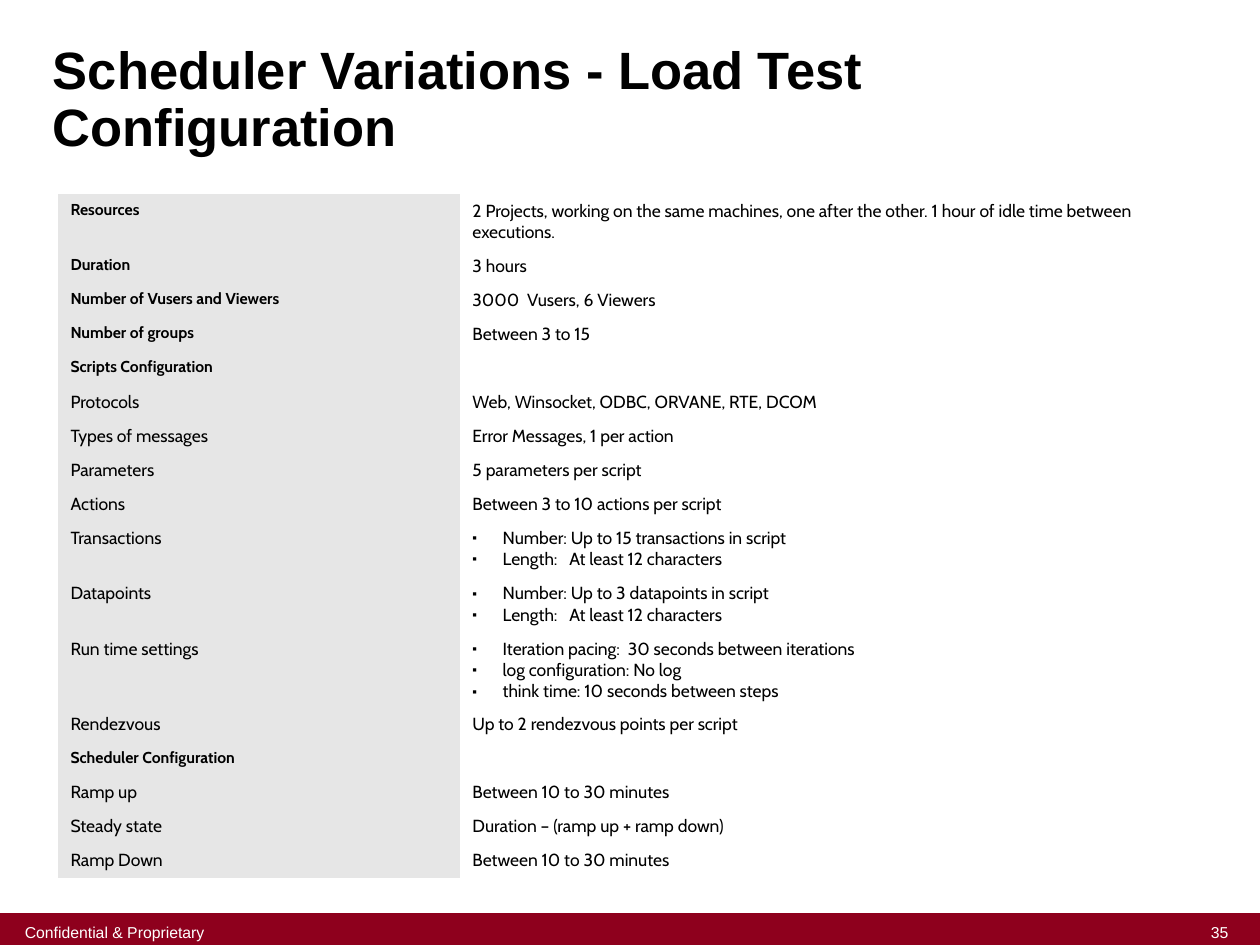
from lxml.etree import SubElement
from pptx import Presentation
from pptx.dml.color import RGBColor
from pptx.enum.shapes import MSO_SHAPE
from pptx.enum.text import MSO_ANCHOR, PP_ALIGN
from pptx.oxml.ns import qn
from pptx.util import Inches, Pt

# Content: label, then one value or a list of bullets; headings are bold
TITLE = "Scheduler Variations - Load Test Configuration"
FOOTER = "Confidential & Proprietary"
PAGE_NUMBER = "35"
HEADINGS = {
    "Resources", "Duration", "Number of Vusers and Viewers", "Number of groups",
    "Scripts Configuration", "Scheduler Configuration",
}
SETTINGS = [
    ("Resources", "2 Projects, working on the same machines, one after the other. "
                  "1 hour of idle time between executions."),
    ("Duration", "3 hours"),
    ("Number of Vusers and Viewers", "3000  Vusers, 6 Viewers"),
    ("Number of groups", "Between 3 to 15"),
    ("Scripts Configuration", ""),
    ("Protocols", "Web, Winsocket, ODBC, ORVANE, RTE, DCOM"),
    ("Types of messages", "Error Messages, 1 per action"),
    ("Parameters", "5 parameters per script"),
    ("Actions", "Between 3 to 10 actions per script"),
    ("Transactions", ["Number: Up to 15 transactions in script",
                      "Length:   At least 12 characters"]),
    ("Datapoints", ["Number: Up to 3 datapoints in script",
                    "Length:   At least 12 characters"]),
    ("Run time settings", ["Iteration pacing:  30 seconds between iterations",
                           "log configuration: No log",
                           "think time: 10 seconds between steps"]),
    ("Rendezvous", "Up to 2 rendezvous points per script"),
    ("Scheduler Configuration", ""),
    ("Ramp up", "Between 10 to 30 minutes"),
    ("Steady state", "Duration – (ramp up + ramp down)"),
    ("Ramp Down", "Between 10 to 30 minutes"),
]

THEME = {
    "black": RGBColor(0, 0, 0),
    "white": RGBColor(255, 255, 255),
    "label_fill": RGBColor(0xE6, 0xE6, 0xE6),
    "footer_fill": RGBColor(0x8E, 0x00, 0x1D),
    "heading_font": "Arial",
    "table_font": "Cabin",
    "title_size": 30,
    "heading_size": 9,
    "body_size": 10,
    "footer_size": 9,
}
COLUMN_WIDTHS = (3.19, 5.78)
ROW_HEIGHTS = {1: 0.27, 2: 0.44, 3: 0.6}  # by lines of text
LINE_LENGTH = 90  # characters that fit on one line of the value column
NO_STYLE_NO_GRID = "{2D5ABB26-0587-4C30-8999-92F81FD0307C}"


def add_text(paragraph, text, size, font, color, bold=False):
    run = paragraph.add_run()
    run.text = text
    run.font.size = Pt(size)
    run.font.name = font
    run.font.bold = bold
    run.font.color.rgb = color


def add_bullet(paragraph):
    properties = paragraph._p.get_or_add_pPr()
    properties.set("marL", str(Inches(0.24)))
    properties.set("indent", str(-Inches(0.24)))
    SubElement(properties, qn("a:buSzPct"), val="75000")
    SubElement(properties, qn("a:buFont"), typeface=THEME["heading_font"])
    SubElement(properties, qn("a:buChar"), char="▪")


def fill_cell(cell, content, bold=False):
    size = THEME["heading_size" if bold else "body_size"]
    bulleted = isinstance(content, list)
    for index, text in enumerate(content if bulleted else [content]):
        frame = cell.text_frame
        paragraph = frame.add_paragraph() if index else frame.paragraphs[0]
        if bulleted:
            add_bullet(paragraph)
        if text:
            add_text(paragraph, text, size, THEME["table_font"], THEME["black"], bold)
        else:  # keeps an empty cell from stretching its row
            SubElement(paragraph._p, qn("a:endParaRPr"), sz=str(size * 100))


def row_height(value):
    lines = len(value) if isinstance(value, list) else 1 + len(value) // LINE_LENGTH
    return Inches(ROW_HEIGHTS[lines])


def add_footer_text(slide, text, left, width):
    box = slide.shapes.add_textbox(Inches(left), Inches(7.27), Inches(width), Inches(0.25))
    frame = box.text_frame
    frame.word_wrap = True
    frame.vertical_anchor = MSO_ANCHOR.MIDDLE
    frame.paragraphs[0].alignment = PP_ALIGN.CENTER
    add_text(frame.paragraphs[0], text, THEME["footer_size"],
             THEME["heading_font"], THEME["white"])


presentation = Presentation()
presentation.slide_width, presentation.slide_height = Inches(10), Inches(7.5)
slide = presentation.slides.add_slide(presentation.slide_layouts[5])

# Footer band
band = slide.shapes.add_shape(MSO_SHAPE.RECTANGLE, 0, Inches(7.25), Inches(10), Inches(0.25))
band.shadow.inherit = False
band.fill.solid()
band.fill.fore_color.rgb = THEME["footer_fill"]
band.line.color.rgb = THEME["footer_fill"]
band.line.width = Pt(1)
add_footer_text(slide, PAGE_NUMBER, 9.44, 0.48)
add_footer_text(slide, FOOTER, 0.01, 1.8)

# Title
title = slide.shapes.title
title.left, title.top = Inches(0.32), Inches(0.3)
title.width, title.height = Inches(9.38), Inches(1)
title.text_frame.word_wrap = True
title.text_frame.vertical_anchor = MSO_ANCHOR.BOTTOM
heading = title.text_frame.paragraphs[0]
heading.alignment = PP_ALIGN.LEFT
heading.line_spacing = 0.9
add_text(heading, TITLE, THEME["title_size"], THEME["heading_font"], THEME["black"], True)

# Settings table
heights = [row_height(value) for _, value in SETTINGS]
settings = slide.shapes.add_table(
    len(SETTINGS), len(COLUMN_WIDTHS), Inches(0.46), Inches(1.54),
    Inches(sum(COLUMN_WIDTHS)), sum(heights)).table
settings.first_row = settings.horz_banding = False
settings._tbl.tblPr.find(qn("a:tableStyleId")).text = NO_STYLE_NO_GRID
for column, width in zip(settings.columns, COLUMN_WIDTHS):
    column.width = Inches(width)
for row, height, (label, value) in zip(settings.rows, heights, SETTINGS):
    row.height = height
    label_cell, value_cell = row.cells
    label_cell.fill.solid()
    label_cell.fill.fore_color.rgb = THEME["label_fill"]
    value_cell.fill.background()
    fill_cell(label_cell, label, label in HEADINGS)
    fill_cell(value_cell, value)

presentation.save("out.pptx")
